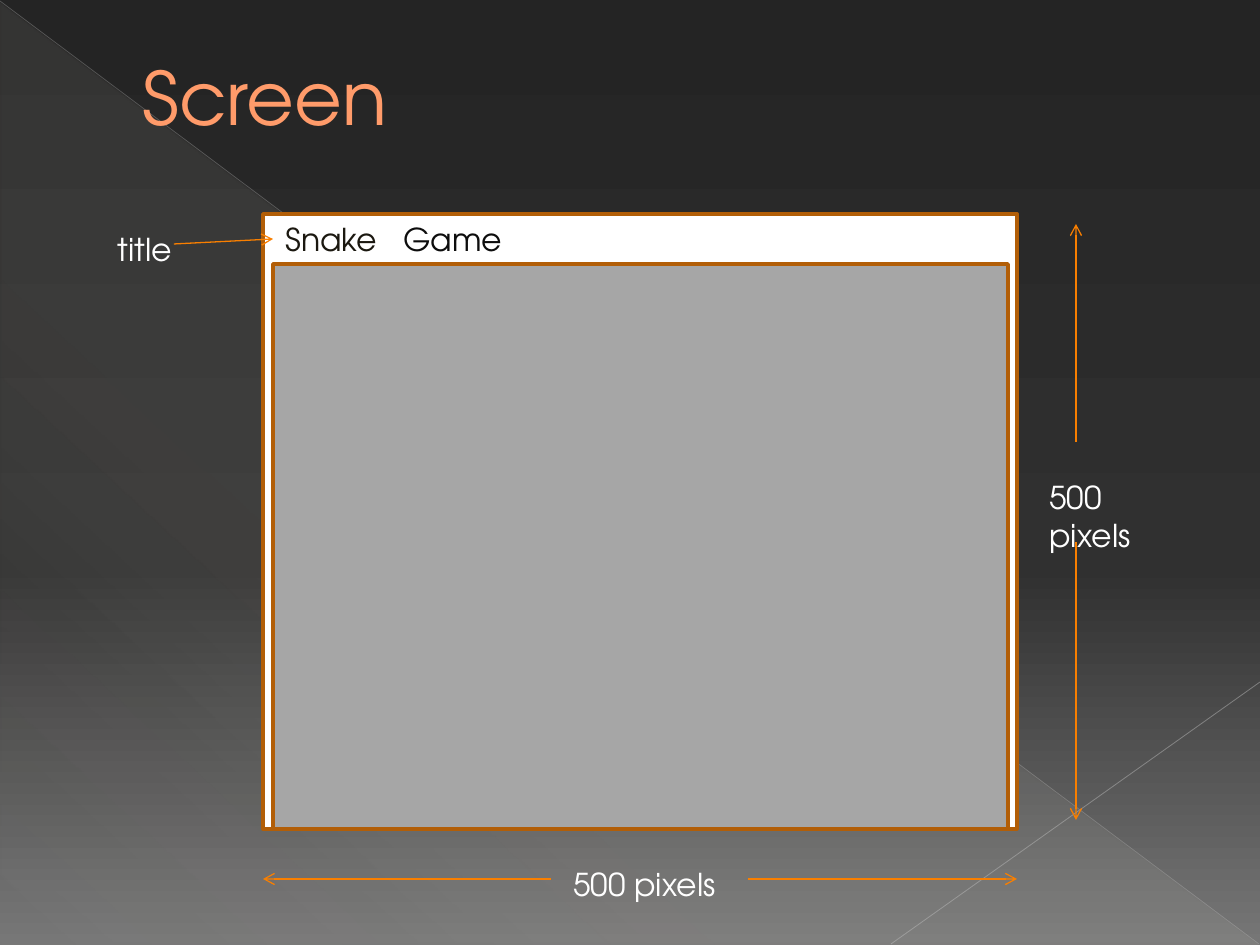
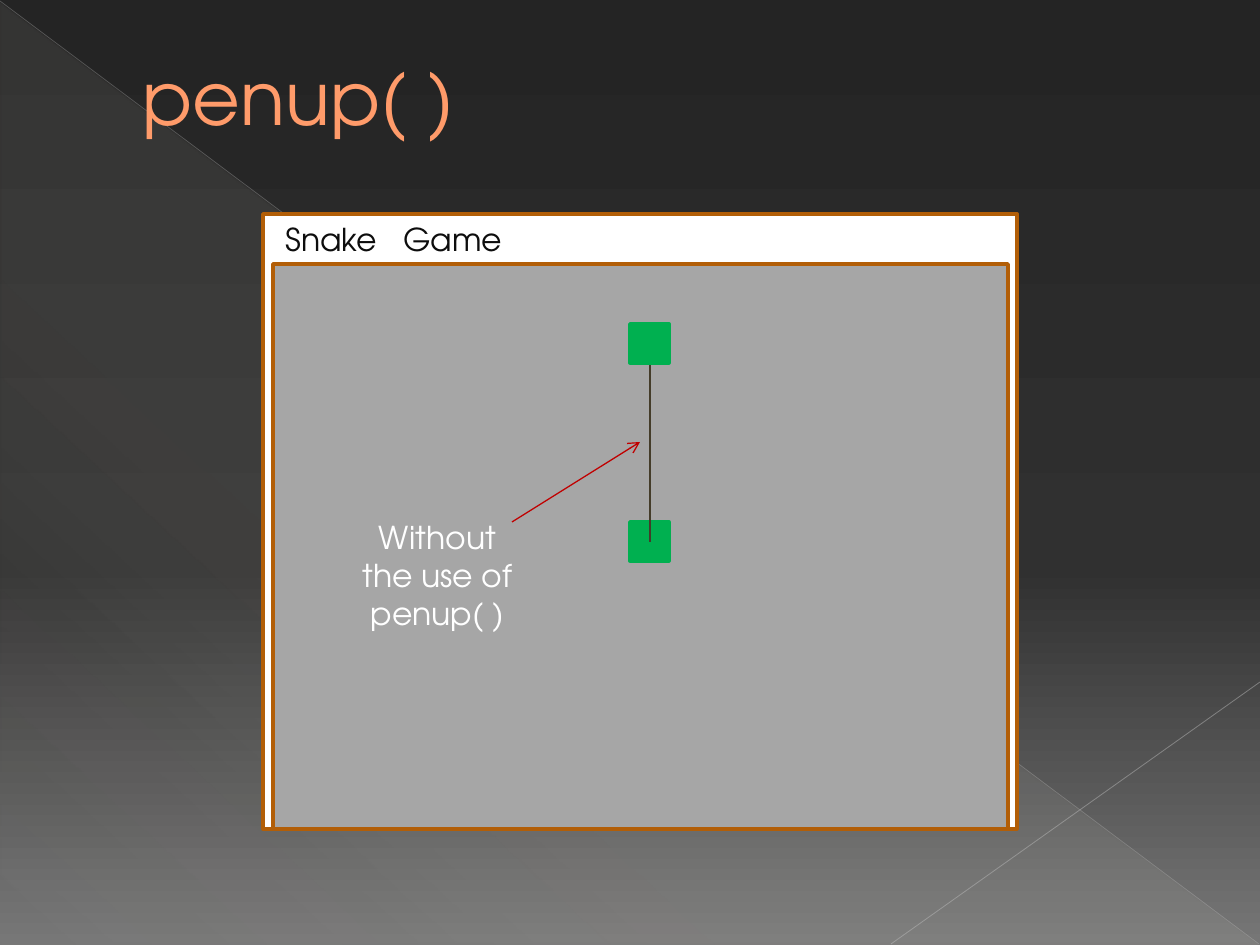
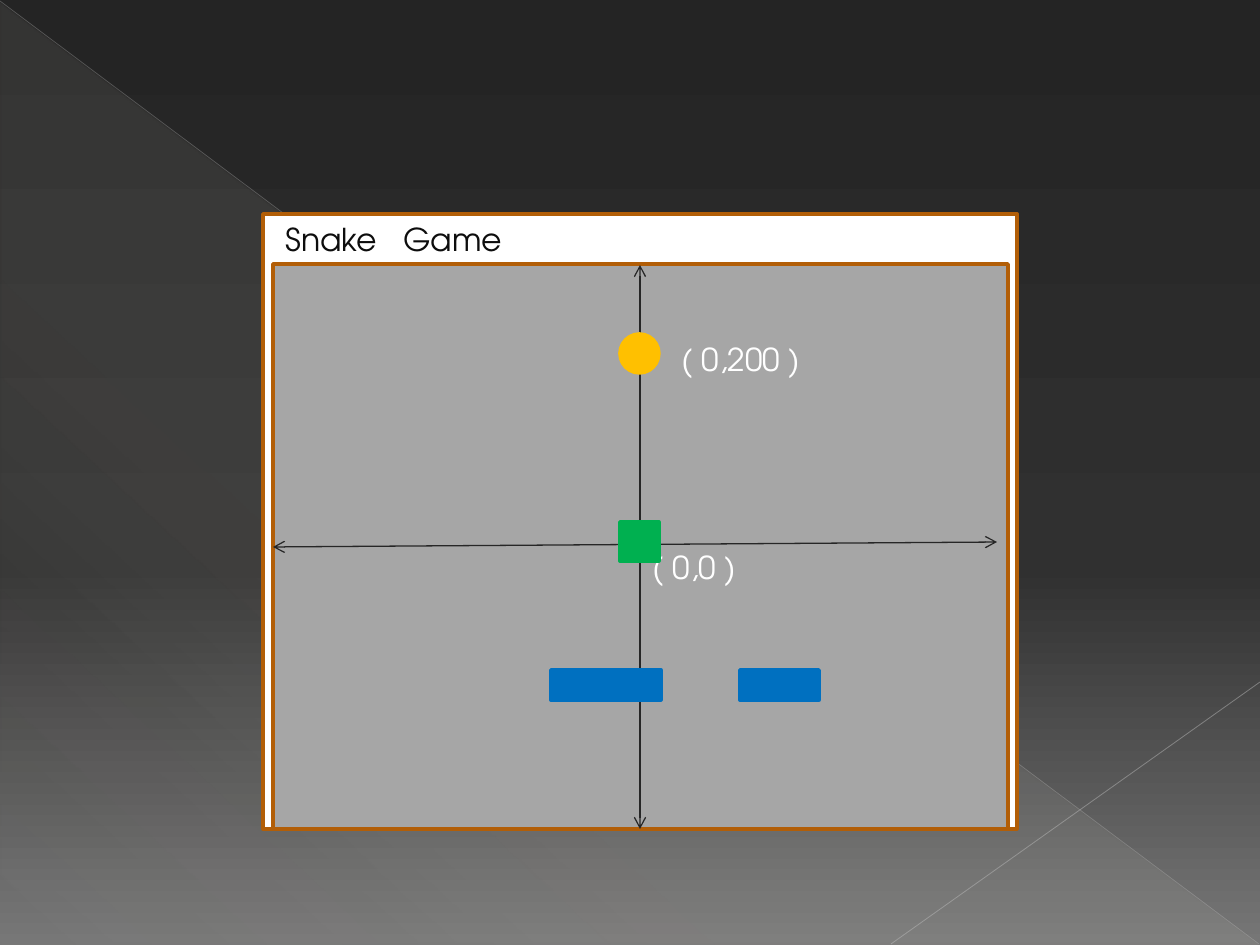
from dataclasses import dataclass

from lxml import etree
from pptx import Presentation
from pptx.dml.color import RGBColor
from pptx.enum.shapes import MSO_CONNECTOR, MSO_SHAPE
from pptx.enum.text import MSO_ANCHOR, MSO_AUTO_SIZE, PP_ALIGN
from pptx.oxml.ns import qn
from pptx.util import Emu, Pt

RECT, OVAL, TRIANGLE = MSO_SHAPE.RECTANGLE, MSO_SHAPE.OVAL, MSO_SHAPE.RIGHT_TRIANGLE
STRAIGHT = MSO_CONNECTOR.STRAIGHT
LEFT, CENTER = PP_ALIGN.LEFT, PP_ALIGN.CENTER
TOP, MIDDLE = MSO_ANCHOR.TOP, MSO_ANCHOR.MIDDLE
NO_FIT, GROW = MSO_AUTO_SIZE.NONE, MSO_AUTO_SIZE.SHAPE_TO_FIT_TEXT
TITLE_ONLY, BLANK = 5, 6


@dataclass(frozen=True)
class Theme:
    font: str = "TeX Gyre Adventor"
    title_size: float = 42
    body_size: float = 18
    border: float = 2
    thin: float = 0.75
    title: str = "FF9B6A"
    title_edge: str = "A65806"
    white: str = "FFFFFF"
    ink: str = "0D0D0D"
    brown_ink: str = "1B1810"
    frame: str = "B25E07"
    canvas: str = "A6A6A6"
    orange: str = "F97F00"
    green: str = "00B050"
    blue: str = "0070C0"
    yellow: str = "FFC000"
    red: str = "C00000"
    trail: str = "443C29"
    axis: str = "262626"


THEME = Theme()

BACKDROP = [(0, "242424", 100), (60, "303030", 100), (100, "767676", 100)]
SHEEN = [(0, "E3DED1", 10), (70, "E3DED1", 8), (100, "E3DED1", 1)]
SHEEN_AREA = (1, 3, 1258, 942)
RAYS = [((0, 1), (1259, 944), "B6B6B6", 0.39, 35),
        ((1260, 682), (891, 944), "BFBFBF", 0.47, 45)]

TITLE_AREA = (63, 38, 1133, 117)
TITLE_INDENT = 67
WINDOW_AREA = (263, 214, 754, 615)
CANVAS_AREA = (273, 264, 735, 565)
CAPTION_AREA = (273, 214, 268, 50)
CAPTION = ("Snake", "\tGame")
CAPTION_TAB = 118

CELL = 39
LINE_HEIGHT = 50

SLIDES = [
    dict(title="Screen", caption_color=THEME.brown_ink, parts=[
        ("line", (174, 244), (273, 239), THEME.orange, "tail"),
        ("text", (105, 224, 89, LINE_HEIGHT), "title", LEFT),
        ("line", (551, 879), (263, 879), THEME.orange, "tail"),
        ("line", (748, 879), (1017, 879), THEME.orange, "tail"),
        ("text", (561, 859, 179, LINE_HEIGHT), "500 pixels", LEFT),
        ("line", (1076, 442), (1076, 224), THEME.orange, "tail"),
        ("line", (1076, 542), (1076, 820), THEME.orange, "tail"),
        ("text", (1037, 472, 159, LINE_HEIGHT), "500 pixels", LEFT),
    ]),
    dict(title="penup( )", caption_color=THEME.ink, parts=[
        ("shape", (630, 522, CELL, CELL), RECT, THEME.green),
        ("line", (650, 542), (650, 344), THEME.trail, ""),
        ("shape", (630, 324, CELL, CELL), RECT, THEME.green),
        ("line", (512, 522), (640, 442), THEME.red, "tail"),
        ("text", (343, 512, 189, 127), "Without the use of penup( )", CENTER),
    ]),
    dict(title=None, caption_color=THEME.ink, parts=[
        ("line", (640, 265), (640, 829), THEME.axis, "head tail"),
        ("line", (273, 547), (997, 542), THEME.axis, "head tail"),
        ("text", (640, 542, 129, LINE_HEIGHT), "( 0,0 )", LEFT),
        ("shape", (620, 522, CELL, CELL), RECT, THEME.green),
        ("text", (669, 334, 179, LINE_HEIGHT), "( 0,200 )", LEFT),
        ("shape", (551, 670, 110, 30), RECT, THEME.blue),
        ("shape", (740, 670, 79, 30), RECT, THEME.blue),
        ("shape", (620, 334, CELL, CELL), OVAL, THEME.yellow),
    ]),
]


def px(length):
    return Emu(round(length * 914400 / 126))


def add_node(parent, tag, **attributes):
    node = etree.SubElement(parent, qn(tag))
    for name, value in attributes.items():
        node.set(name, str(value))
    return node


def set_alpha(color_node, percent):
    if percent < 100:
        add_node(color_node, "a:alpha", val=percent * 1000)


def paint_gradient(fill, holder, stops, angle):
    fill.gradient()
    fill.gradient_angle = 360 - angle
    stop_list = holder.find(".//" + qn("a:gsLst"))
    for stop in list(stop_list):
        stop_list.remove(stop)
    for position, color, opacity in stops:
        stop = add_node(stop_list, "a:gs", pos=position * 1000)
        set_alpha(add_node(stop, "a:srgbClr", val=color), opacity)


def write_text(frame, spans, size=THEME.body_size, align=LEFT, anchor=TOP, fit=GROW):
    frame.word_wrap = True
    frame.auto_size = fit
    frame.vertical_anchor = anchor
    para = frame.paragraphs[0]
    para.alignment = align
    for text, color in spans:
        span = para.add_run()
        span.text = text
        span.font.name = THEME.font
        span.font.size = Pt(size)
        span.font.color.rgb = RGBColor.from_string(color)
    return para


def add_text(page, area, spans, **style):
    box = page.shapes.add_textbox(*map(px, area))
    return write_text(box.text_frame, spans, **style)


def add_block(page, area, preset, fill, edge):
    block = page.shapes.add_shape(preset, *map(px, area))
    block.shadow.inherit = False
    block.fill.solid()
    block.fill.fore_color.rgb = RGBColor.from_string(fill)
    block.line.color.rgb = RGBColor.from_string(edge)
    block.line.width = Pt(THEME.border)


def add_line(page, start, end, color, arrows="", width=THEME.thin, opacity=100):
    line = page.shapes.add_connector(STRAIGHT, *map(px, start + end))
    line.line.color.rgb = RGBColor.from_string(color)
    line.line.width = Pt(width)
    properties = line.element.spPr
    set_alpha(properties.find(".//" + qn("a:srgbClr")), opacity)
    for side in arrows.split():
        add_node(line.line._get_or_add_ln(), f"a:{side}End", type="arrow")
    add_node(properties, "a:effectLst")
    return line


def decorate_master(master, page):
    paint_gradient(master.background.fill, master.element.cSld.bg, BACKDROP, 90)
    sheen = page.shapes.add_shape(TRIANGLE, *map(px, SHEEN_AREA))
    sheen.shadow.inherit = False
    sheen.line.fill.background()
    paint_gradient(sheen.fill, sheen.element.spPr, SHEEN, 133)
    rays = [add_line(page, start, end, color, width=width, opacity=opacity)
            for start, end, color, width, opacity in RAYS]
    for order, item in enumerate([sheen] + rays):
        item.element.xpath(".//p:cNvPr")[0].set("id", str(100 + order))
        master.element.cSld.spTree.insert(2 + order, item.element)


def set_title(page, text):
    title = page.shapes.title
    title.left, title.top, title.width, title.height = map(px, TITLE_AREA)
    para = write_text(title.text_frame, [(text, THEME.title)],
                      size=THEME.title_size, anchor=MIDDLE, fit=NO_FIT)
    layout = para._p.get_or_add_pPr()
    layout.set("marL", str(px(TITLE_INDENT)))
    layout.set("indent", "0")
    outline = etree.Element(qn("a:ln"), w=str(Pt(0.5)))
    add_node(add_node(outline, "a:solidFill"), "a:srgbClr", val=THEME.title_edge)
    para.runs[0].font._element.insert(0, outline)


def add_game_window(page, caption_color):
    add_block(page, WINDOW_AREA, RECT, THEME.white, THEME.frame)
    add_block(page, CANVAS_AREA, RECT, THEME.canvas, THEME.frame)
    para = add_text(page, CAPTION_AREA, zip(CAPTION, (caption_color, THEME.ink)))
    tabs = add_node(para._p.get_or_add_pPr(), "a:tabLst")
    add_node(tabs, "a:tab", pos=px(CAPTION_TAB), algn="l")


def add_part(page, kind, *details):
    if kind == "line":
        add_line(page, *details)
    elif kind == "shape":
        area, preset, color = details
        add_block(page, area, preset, color, color)
    else:
        area, text, align = details
        add_text(page, area, [(text, THEME.white)], align=align)


deck = Presentation()
deck.slide_width, deck.slide_height = px(1260), px(945)

for number, content in enumerate(SLIDES):
    page = deck.slides.add_slide(deck.slide_layouts[TITLE_ONLY if content["title"] else BLANK])
    if number == 0:
        decorate_master(deck.slide_master, page)
    if content["title"]:
        set_title(page, content["title"])
    add_game_window(page, content["caption_color"])
    for part in content["parts"]:
        add_part(page, *part)

deck.save("out.pptx")
